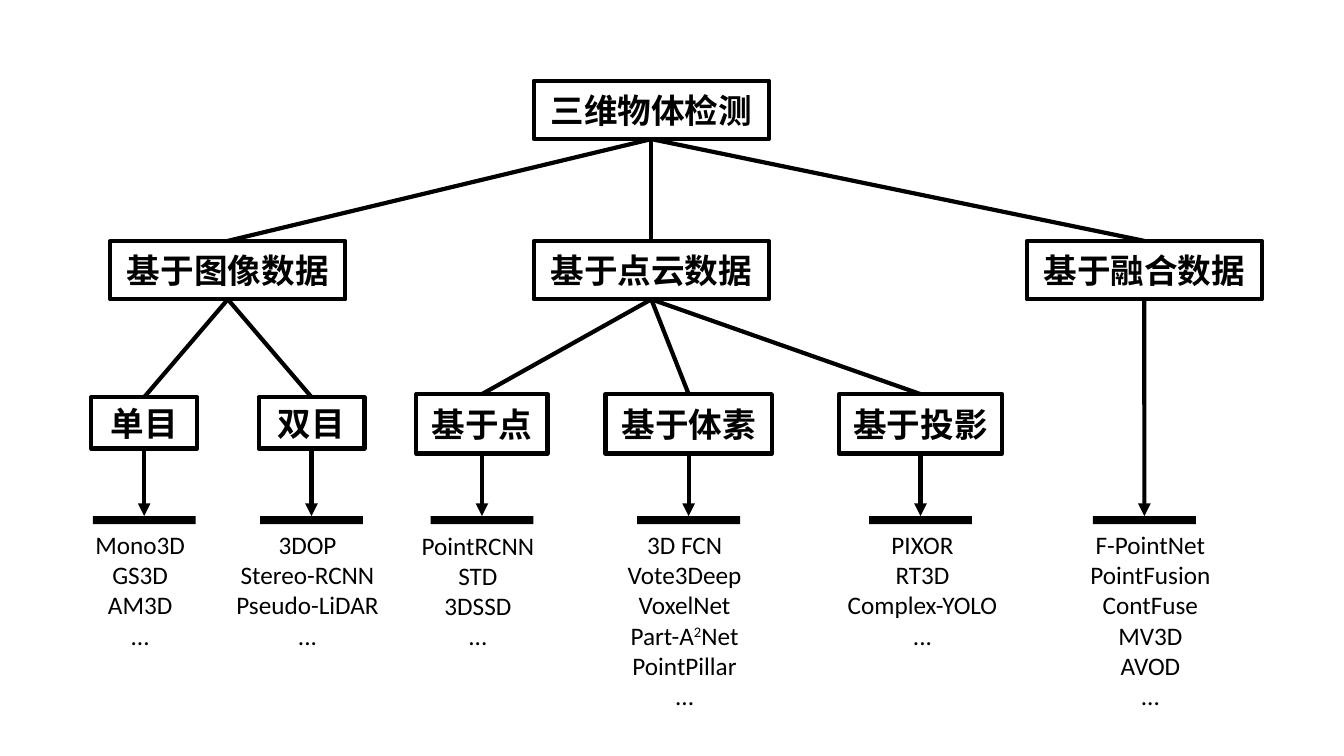
import dataclasses

import pptx
import pptx.dml.color
import pptx.enum.shapes
import pptx.enum.text
import pptx.oxml.ns
import pptx.util
from lxml import etree

Inches = pptx.util.Inches
Pt = pptx.util.Pt
Shape = pptx.enum.shapes.MSO_SHAPE
BLACK = pptx.dml.color.RGBColor(0, 0, 0)
FONT = "Calibri"
STROKE = Pt(3)
TOP, BOTTOM = 0, 2
BAR_TOP, BAR_WIDE, BAR_HIGH = 5.12, 1.02, 0.08


@dataclasses.dataclass
class Node:
    """A box of the tree, with its children or its list of methods."""
    label: str
    mid: float
    top: float
    wide: float
    high: float
    kids: tuple = ()
    methods: tuple = ()
    list_mid: float = 0
    list_wide: float = 1.64
    list_top: float = 5.2


def topic(label: str, mid: float, top: float = 2.39, **extra) -> Node:
    return Node(label, mid, top, 2.33, 0.58, **extra)


def view(label: str, mid: float, **extra) -> Node:
    return Node(label, mid, 3.94, 1.05, 0.51, **extra)


def cloud(label: str, mid: float, wide: float, **extra) -> Node:
    return Node(label, mid, 3.91, wide, 0.59, **extra)


# The tree; ^ marks the start and end of a superscript
TREE = topic("三维物体检测", 6.46, 0.8, kids=(
    topic("基于图像数据", 2.26, kids=(
        view("单目", 1.43, list_mid=1.39, list_wide=1.13,
             methods=("Mono3D", "GS3D", "AM3D", "...")),
        view("双目", 3.09, list_mid=3.05,
             methods=("3DOP", "Stereo-RCNN", "Pseudo-LiDAR", "...")),
    )),
    topic("基于点云数据", 6.46, kids=(
        cloud("基于点", 4.78, 1.3, list_mid=4.74, list_top=5.21,
              methods=("PointRCNN", "STD", "3DSSD", "...")),
        cloud("基于体素", 6.83, 1.65, list_mid=6.79,
              methods=("3D FCN", "Vote3Deep", "VoxelNet", "Part-A^2^Net",
                       "PointPillar", "...")),
        cloud("基于投影", 9.13, 1.62, list_mid=9.15, list_wide=1.87,
              methods=("PIXOR", "RT3D", "Complex-YOLO", "...")),
    )),
    topic("基于融合数据", 11.35, list_mid=11.41, list_wide=1.87,
          methods=("F-PointNet", "PointFusion", "ContFuse", "MV3D", "AVOD",
                   "...")),
))


def write(frame, lines: tuple, *, size: int, bold: bool = False) -> None:
    """Fill a text frame with centred lines."""
    for row, line in enumerate(lines):
        para = frame.add_paragraph() if row else frame.paragraphs[0]
        para.alignment = pptx.enum.text.PP_ALIGN.CENTER
        for part, text in enumerate(line.split("^")):
            run = para.add_run()
            run.text = text
            run.font.name = FONT
            run.font.size = Pt(size)
            run.font.bold = bold
            run.font.color.rgb = BLACK
            if part % 2:
                run.font._element.set("baseline", "30000")


def add_box(slide, node: Node):
    box = slide.shapes.add_shape(
        Shape.ROUNDED_RECTANGLE, Inches(node.mid - node.wide / 2),
        Inches(node.top), Inches(node.wide), Inches(node.high))
    box.adjustments[0] = 0
    box.shadow.inherit = False
    box.fill.background()
    box.line.color.rgb = BLACK
    box.line.width = STROKE
    box.text_frame.vertical_anchor = pptx.enum.text.MSO_ANCHOR.MIDDLE
    write(box.text_frame, (node.label,), size=24, bold=True)
    return box


def add_bar(slide, mid: float):
    bar = slide.shapes.add_shape(
        Shape.RECTANGLE, Inches(mid - BAR_WIDE / 2), Inches(BAR_TOP),
        Inches(BAR_WIDE), Inches(BAR_HIGH))
    bar.shadow.inherit = False
    bar.fill.solid()
    bar.fill.fore_color.rgb = BLACK
    bar.line.fill.background()
    return bar


def add_list(slide, node: Node) -> None:
    high = 0.1 + 0.3 * len(node.methods)
    area = slide.shapes.add_textbox(
        Inches(node.list_mid - node.list_wide / 2), Inches(node.list_top),
        Inches(node.list_wide), Inches(high))
    area.text_frame.word_wrap = True
    write(area.text_frame, node.methods, size=18)


def join(slide, upper, lower, arrow: bool = False) -> None:
    """Link the bottom of one shape to the top of another."""
    link = slide.shapes.add_connector(
        pptx.enum.shapes.MSO_CONNECTOR.STRAIGHT, 0, 0, 0, 0)
    link.begin_connect(upper, BOTTOM)
    link.end_connect(lower, TOP)
    link.line.color.rgb = BLACK
    link.line.width = STROKE
    qn = pptx.oxml.ns.qn
    if arrow:
        stroke = link.line._get_or_add_ln()
        etree.SubElement(stroke, qn("a:tailEnd"), type="triangle")
    etree.SubElement(link._element.spPr, qn("a:effectLst"))


def draw(slide, node: Node):
    """Draw a node and everything below it."""
    box = add_box(slide, node)
    for kid in node.kids:
        join(slide, box, draw(slide, kid))
    if node.methods:
        join(slide, box, add_bar(slide, node.mid), arrow=True)
        add_list(slide, node)
    return box


def main() -> None:
    deck = pptx.Presentation()
    deck.slide_width = Inches(13.33)
    deck.slide_height = Inches(7.5)
    blank = deck.slide_layouts[6]
    draw(deck.slides.add_slide(blank), TREE)
    deck.save("out.pptx")


if __name__ == "__main__":
    main()
